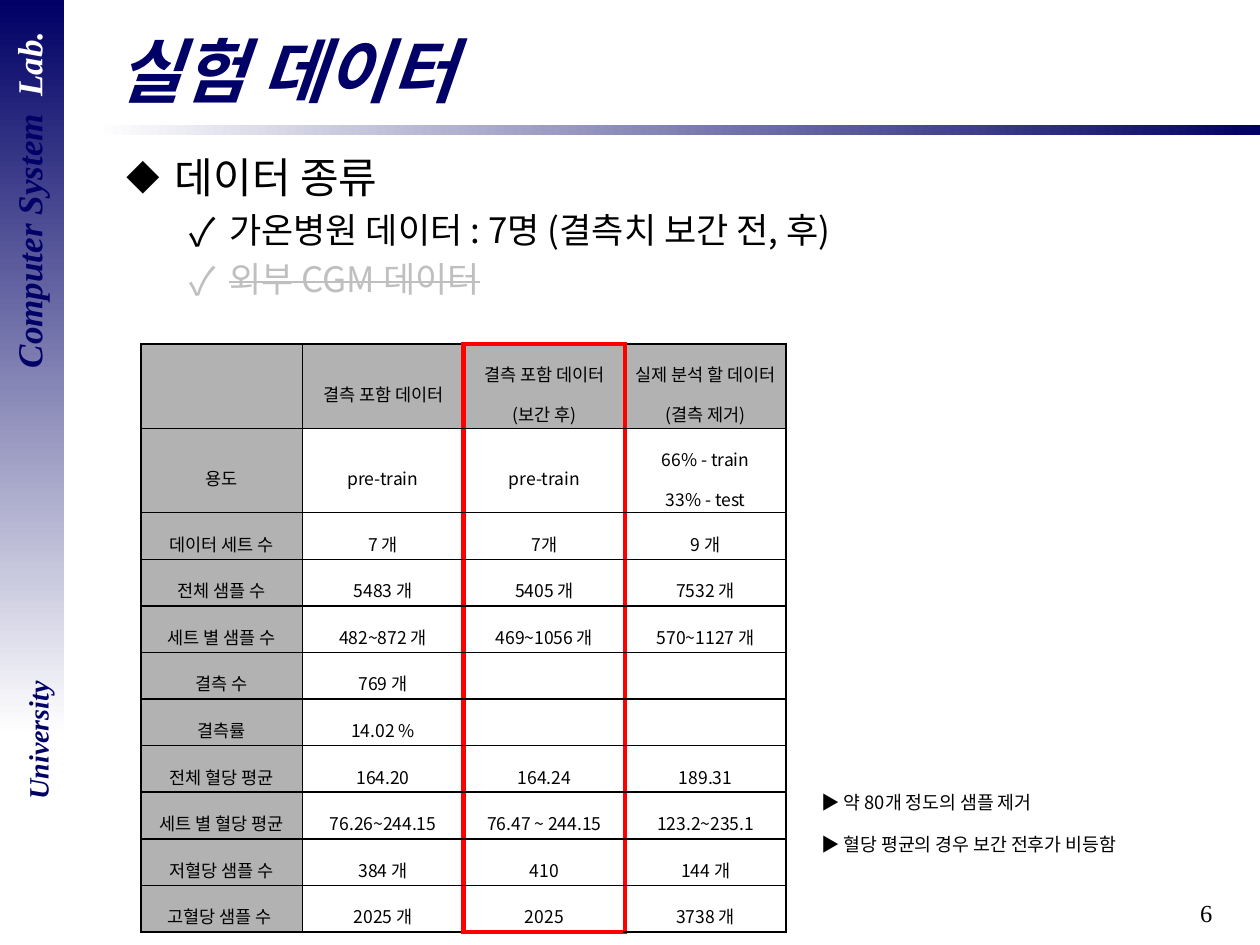
from copy import deepcopy
from dataclasses import dataclass

from lxml import etree
from pptx import Presentation
from pptx import util as u
from pptx.dml.color import RGBColor
from pptx.enum import shapes, text
from pptx.oxml.ns import qn


@dataclass(frozen=True)
class Theme:
    navy: str = "000066"
    white: str = "FFFFFF"
    black: str = "000000"
    gray: str = "B2B2B2"
    faded: str = "BFBFBF"
    red: str = "FF0000"
    sans: str = "Noto Sans CJK KR"
    serif: str = "Times New Roman"
    title: float = 40
    topic: float = 24
    point: float = 20
    lab: float = 20
    school: float = 16
    number: float = 14
    note: float = 10.5
    cell: float = 10


THEME = Theme()
PLAIN_TABLE = "{2D5ABB26-0587-4C30-8999-92F81FD0307C}"
HIGHLIGHT_COLUMN = 2
COMPARISON = [
    ["", "결측 포함 데이터", "결측 포함 데이터\v(보간 후)", "실제 분석 할 데이터\v(결측 제거)"],
    ["용도", "pre-train", "pre-train", "66% - train\n33% - test"],
    ["데이터 세트 수", "7 개", "7개", "9 개"],
    ["전체 샘플 수", "5483 개", "5405 개", "7532 개"],
    ["세트 별 샘플 수", "482~872 개", "469~1056 개", "570~1127 개"],
    ["결측 수", "769 개", "", ""],
    ["결측률", "14.02 %", "", ""],
    ["전체 혈당 평균", "164.20", "164.24", "189.31"],
    ["세트 별 혈당 평균", "76.26~244.15", "76.47 ~ 244.15", "123.2~235.1"],
    ["저혈당 샘플 수", "384 개", "410", "144 개"],
    ["고혈당 샘플 수 ", "2025 개", "2025", "3738 개"],
]
NOTES = "▶ 약 80개 정도의 샘플 제거\n▶ 혈당 평균의 경우 보간 전후가 비등함"


def inches(box):
    return [u.Inches(value) for value in box]


def style(para, size, color=THEME.black, face=THEME.sans, strong=False):
    font = para.font
    font.size, font.name = u.Pt(size), face
    font.bold = font.italic = strong
    font.color.rgb = RGBColor.from_string(color)
    # East Asian letters need their own typeface entry
    default = para._p.pPr.find(qn("a:defRPr"))
    etree.SubElement(default, qn("a:ea"), typeface=face)
    return default


def add_text(page, box, rotation=0):
    area = page.shapes.add_textbox(*inches(box))
    area.rotation = rotation
    area.text_frame.word_wrap = True
    return area.text_frame


def add_band(page, box, colors, angle=0, rotation=0):
    band = page.shapes.add_shape(shapes.MSO_SHAPE.RECTANGLE, *inches(box))
    band.shadow.inherit = False
    band.rotation = rotation
    band.line.fill.background()
    band.fill.gradient()
    band.fill.gradient_angle = angle
    for stop, color in zip(band.fill.gradient_stops, colors):
        stop.color.rgb = RGBColor.from_string(color)
    # The gradient direction stays fixed to the page
    band._element.spPr.find(qn("a:gradFill")).set("rotWithShape", "0")


def add_sidebar(page, bar, lab, school):
    add_band(page, bar, (THEME.navy, THEME.white), angle=270, rotation=90)
    para = add_text(page, lab, 270).paragraphs[0]
    para.alignment = text.PP_ALIGN.CENTER
    style(para, THEME.lab, THEME.navy, THEME.serif, True)
    para.add_run().text = "Computer System  "
    span = para.add_run()
    span.text = "Lab."
    span.font.color.rgb = RGBColor.from_string(THEME.white)

    para = add_text(page, school, 270).paragraphs[0]
    para.text = "University"
    para.alignment = text.PP_ALIGN.CENTER
    style(para, THEME.school, THEME.navy, THEME.serif, True)


def add_title(page, box):
    title = page.shapes.title
    title.left, title.top, title.width, title.height = inches(box)
    frame = title.text_frame
    frame.text = "실험 데이터"
    frame.auto_size = text.MSO_AUTO_SIZE.NONE
    frame.vertical_anchor = text.MSO_ANCHOR.MIDDLE
    frame.paragraphs[0].alignment = text.PP_ALIGN.LEFT
    style(frame.paragraphs[0], THEME.title, THEME.navy, strong=True)


def add_bullet(para, mark, percent, margin, hanging):
    props = para._p.get_or_add_pPr()
    props.set("marL", str(u.Inches(margin)))
    props.set("indent", str(-u.Inches(hanging)))
    etree.SubElement(props, qn("a:buSzPct"), val=str(percent * 1000))
    etree.SubElement(props, qn("a:buFont"), typeface=THEME.sans)
    etree.SubElement(props, qn("a:buChar"), char=mark)


def add_outline(page, box):
    frame = add_text(page, box)
    frame.text = "데이터 종류\n가온병원 데이터 : 7명 (결측치 보간 전, 후)\n외부 CGM 데이터"
    topic, *points = frame.paragraphs
    add_bullet(topic, "◆", 80, 0.38, 0.38)
    topic.space_before = u.Pt(THEME.topic * 0.2)
    style(topic, THEME.topic)
    for para, color in zip(points, (THEME.black, THEME.faded)):
        para.level = 1
        add_bullet(para, "✓", 110, 0.81, 0.31)
        para.space_before = u.Pt(THEME.point * 0.2)
        default = style(para, THEME.point, color)
    default.set("strike", "sngStrike")


def add_grid(page, box, rows, columns):
    frame = page.shapes.add_table(rows, columns, *inches(box))
    grid = frame.table
    grid.first_row = grid.horz_banding = False
    grid._tbl.tblPr.find(qn("a:tableStyleId")).text = PLAIN_TABLE
    return grid


def copy_font(default, parent, tag):
    props = etree.SubElement(parent, qn(tag), dict(default.attrib))
    props.extend(deepcopy(child) for child in default)
    return props


def fill_cell(cell, words, size, alignment):
    cell.margin_left = cell.margin_right = u.Inches(0.06)
    cell.margin_top = cell.margin_bottom = u.Inches(0.02)
    cell.vertical_anchor = text.MSO_ANCHOR.MIDDLE
    cell.text_frame.text = words
    for para in cell.text_frame.paragraphs:
        para.alignment = alignment
        para.line_spacing = 1.6
        default = style(para, size)
        # Row heights are measured from spans, breaks and paragraph ends
        for span in para._p.findall(qn("a:r")) + para._p.findall(qn("a:br")):
            span.insert(0, copy_font(default, span, "a:rPr"))
        copy_font(default, para._p, "a:endParaRPr")


def add_borders(cell, red_sides):
    props = cell._tc.get_or_add_tcPr()
    for side in "LRTB":
        color, width = (THEME.red, 3) if side in red_sides else (THEME.black, 1)
        line = etree.SubElement(props, qn("a:ln" + side), w=str(u.Pt(width)))
        paint = etree.SubElement(line, qn("a:solidFill"))
        etree.SubElement(paint, qn("a:srgbClr"), val=color)


def add_comparison(page, box):
    last = len(COMPARISON) - 1
    grid = add_grid(page, box, len(COMPARISON), len(COMPARISON[0]))
    shared_sides = {HIGHLIGHT_COLUMN - 1: "R", HIGHLIGHT_COLUMN: "LR", HIGHLIGHT_COLUMN + 1: "L"}
    for r, row in enumerate(COMPARISON):
        grid.rows[r].height = u.Inches(0.67 if r < 2 else 0.37)
        for c, words in enumerate(row):
            cell = grid.cell(r, c)
            fill_cell(cell, words, THEME.cell, text.PP_ALIGN.CENTER)
            red_sides = shared_sides.get(c, "")
            if c == HIGHLIGHT_COLUMN:
                red_sides += {0: "T", last: "B"}.get(r, "")
            add_borders(cell, red_sides)
            if r == 0 or c == 0:
                cell.fill.solid()
                cell.fill.fore_color.rgb = RGBColor.from_string(THEME.gray)
            else:
                cell.fill.background()


def add_notes_table(page, box):
    cell = add_grid(page, box, 1, 1).cell(0, 0)
    fill_cell(cell, NOTES, THEME.note, text.PP_ALIGN.JUSTIFY)
    cell.fill.background()


def add_page_number(page, box):
    para = add_text(page, box).paragraphs[0]
    para.text = "6"
    para.alignment = text.PP_ALIGN.RIGHT
    style(para, THEME.number, face=THEME.serif)


def main():
    deck = Presentation()
    deck.slide_width, deck.slide_height = u.Inches(10), u.Inches(7.5)
    page = deck.slides.add_slide(deck.slide_layouts[5])
    add_band(page, (0.75, 0.99, 9.25, 0.08), (THEME.white, THEME.navy))
    add_page_number(page, (7.64, 7.08, 2.08, 0.42))
    add_sidebar(page, (-2.66, 2.66, 5.83, 0.51), (-1.31, 1.37, 3.07, 0.43), (-0.41, 5.69, 1.42, 0.37))
    add_outline(page, (0.91, 1.15, 8.74, 6.18))
    add_title(page, (0.83, 0.17, 8.9, 0.77))
    add_comparison(page, (1.12, 2.73, 5.12, 4.67))
    add_notes_table(page, (6.46, 6.11, 2.99, 0.43))
    deck.save("out.pptx")


if __name__ == "__main__":
    main()
